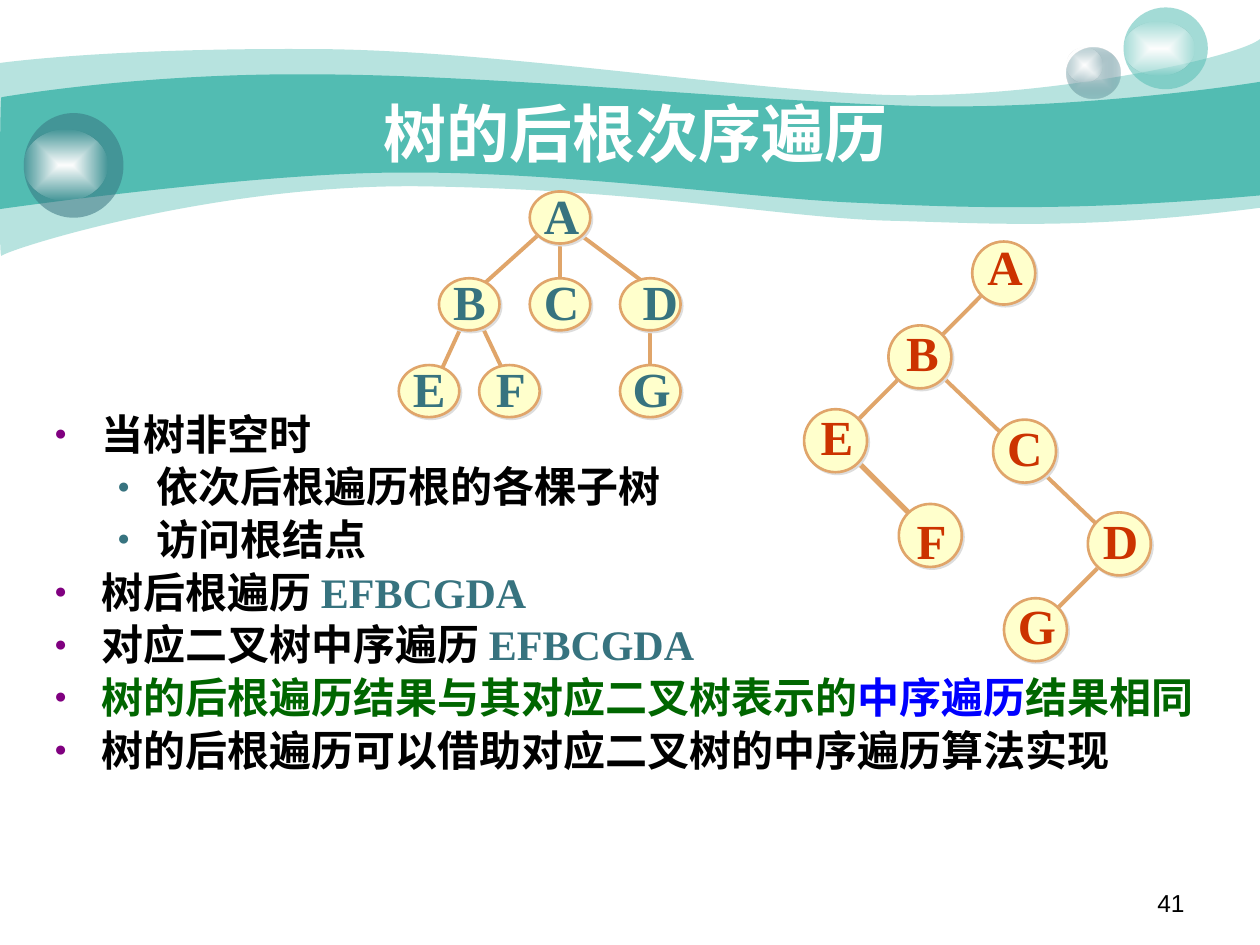
"""Build the slide on post-order traversal of a tree."""
from dataclasses import dataclass, field
from typing import Any

from lxml import etree
from pptx import Presentation, util as u
from pptx.dml import color
from pptx.enum import shapes, text
from pptx.oxml import ns, parse_xml

Cm, Pt = u.Cm, u.Pt
TEAL, SLATE, WHITE, BLACK = "52BCB2", "37737F", "FFFFFF", "000000"
GREEN, BLUE, RED = "006600", "0000FF", "CC3300"
GLOW = [(0, WHITE, 100), (100, WHITE, 0)]
LABEL_WIDTHS = dict(A=1.22, B=1.17, C=1.22, D=1.22, E=1.17, F=1.12, G=1.27)


def rgb(value):
    return color.RGBColor.from_string(value)


def apply(target, values):
    for name, value in values.items():
        setattr(target, name, value)


@dataclass
class Board:
    """Hold the style and the current slide."""
    slide: Any
    node_fill: str = "FFFFCC"
    edge: str = "E0A56A"
    shadow: str = "DDDDDD"
    cjk: str = "Noto Sans CJK SC"
    label: dict = field(default_factory=lambda: dict(
        name="Times New Roman", size=Pt(28), bold=True))

    def element(self, parent, tag, **attributes):
        return etree.SubElement(parent, ns.qn(tag), attributes)

    def fill(self, shape, value, alpha=100):
        shape.shadow.inherit = False
        shape.line.fill.background()
        shape.fill.solid()
        shape.fill.fore_color.rgb = rgb(value)
        if alpha < 100:
            tint = shape._element.spPr.find(".//" + ns.qn("a:srgbClr"))
            self.element(tint, "a:alpha", val=str(alpha * 1000))

    def gradient(self, shape, stops):
        self.fill(shape, WHITE)
        marks = "".join(
            f'<a:gs pos="{position * 1000}"><a:srgbClr val="{value}">'
            f'<a:alpha val="{alpha * 1000}"/></a:srgbClr></a:gs>'
            for position, value, alpha in stops)
        properties = shape._element.spPr
        properties.replace(properties.find(ns.qn("a:solidFill")), parse_xml(
            f'<a:gradFill {ns.nsdecls("a")} rotWithShape="1"><a:gsLst>{marks}</a:gsLst>'
            '<a:path path="rect"><a:fillToRect l="50000" t="50000" r="50000" b="50000"/>'
            '</a:path></a:gradFill>'))

    def wave(self, upper, lower, alpha=100):
        points = [(Cm(x), Cm(y)) for x, y in upper + lower]
        builder = self.slide.shapes.build_freeform(*points[0])
        builder.add_line_segments(points[1:], close=True)
        shape = builder.convert_to_shape()
        lines = list(shape._element.spPr.iter(ns.qn("a:lnTo")))
        straight = len(upper) - 1
        curved = lines[:straight] + lines[straight + 1:]
        for start in range(0, len(curved), 3):
            bezier = etree.Element(ns.qn("a:cubicBezTo"))
            curved[start].addprevious(bezier)
            for segment in curved[start:start + 3]:
                bezier.append(segment[0])
                segment.getparent().remove(segment)
        self.fill(shape, TEAL, alpha)

    def ellipse(self, box):
        return self.slide.shapes.add_shape(shapes.MSO_SHAPE.OVAL, *map(Cm, box))

    def run(self, paragraph, content, value, values):
        run = paragraph.add_run()
        run.text = content
        apply(run.font, values)
        run.font.color.rgb = rgb(value)
        self.element(run._r.get_or_add_rPr(), "a:ea", typeface=self.cjk)

    def textbox(self, box, content, value, values, align, wrap, anchor):
        shape = self.slide.shapes.add_textbox(*map(Cm, box))
        apply(shape.text_frame, dict(word_wrap=wrap, vertical_anchor=anchor))
        paragraph = shape.text_frame.paragraphs[0]
        paragraph.alignment = align
        self.run(paragraph, content, value, values)

    def line(self, ends, width=2.25):
        connector = self.slide.shapes.add_connector(
            shapes.MSO_CONNECTOR.STRAIGHT, *map(Cm, ends))
        connector.line.color.rgb = rgb(self.edge)
        connector.line.width = Pt(width)
        self.element(connector._element.spPr, "a:effectLst")

    def tree(self, size, nodes, value):
        for left, top, _, _ in nodes.values():
            shape = self.ellipse((left, top, *size))
            self.fill(shape, self.node_fill)
            shape.line.color.rgb = rgb(self.edge)
            shape.line.width = Pt(1.5)
            effects = shape._element.spPr.find(ns.qn("a:effectLst"))
            cast = self.element(effects, "a:outerShdw", dist=str(Pt(1.4)), dir="2700000",
                                algn="ctr", rotWithShape="0")
            self.element(cast, "a:srgbClr", val=self.shadow)
        for letter, (left, top, right_shift, down_shift) in nodes.items():
            box = (left + right_shift, top + down_shift, LABEL_WIDTHS[letter], 1.45)
            self.textbox(box, letter, value, self.label,
                         text.PP_ALIGN.CENTER, False, text.MSO_ANCHOR.MIDDLE)

    def placeholder(self, index, box, anchor):
        shape = self.slide.placeholders[index]
        apply(shape, dict(zip(("left", "top", "width", "height"), map(Cm, box))))
        apply(shape.text_frame, dict(word_wrap=True, vertical_anchor=anchor,
                                     auto_size=text.MSO_AUTO_SIZE.NONE))
        self.slide.shapes._spTree.append(shape._element)
        return shape.text_frame

    def title(self, box, content):
        paragraph = self.placeholder(0, box, text.MSO_ANCHOR.MIDDLE).paragraphs[0]
        paragraph.alignment = text.PP_ALIGN.CENTER
        self.run(paragraph, content, WHITE, dict(name=self.cjk, size=Pt(36), bold=True))

    def bullets(self, box, items):
        frame = self.placeholder(1, box, text.MSO_ANCHOR.TOP)
        frame.margin_top = Cm(0.13)
        levels = [(0.95, -0.95, "800080"), (2.06, -0.79, SLATE)]
        for number, (level, runs) in enumerate(items):
            paragraph = frame.add_paragraph() if number else frame.paragraphs[0]
            apply(paragraph, dict(level=level, line_spacing=Pt(30.1),
                                  space_before=Pt(0), space_after=Pt(0)))
            margin, indent, value = levels[level]
            properties = paragraph._p.get_or_add_pPr()
            properties.set("marL", str(Cm(margin)))
            properties.set("indent", str(Cm(indent)))
            self.element(self.element(properties, "a:buClr"), "a:srgbClr", val=value)
            self.element(properties, "a:buSzPct", val="50000")
            self.element(properties, "a:buFont", typeface="Arial")
            self.element(properties, "a:buChar", char="●")
            for content, tint in runs:
                name = "Times New Roman" if tint == SLATE else "Arial"
                self.run(paragraph, content, tint, dict(name=name, size=Pt(24), bold=True))


def main():
    presentation = Presentation()
    apply(presentation, dict(slide_width=Cm(25.4), slide_height=Cm(19.05)))
    board = Board(presentation.slides.add_slide(presentation.slide_layouts[1]))

    board.wave([(0, 1.27), (0.61, 1.19), (2.72, 0.97), (6.27, 0.99), (9.8, 0.99),
                (14.61, 1.78), (17.75, 1.91), (20.88, 2.03), (24.89, 1.19), (25.4, 0.79)],
               [(25.4, 4.19), (21.79, 4.65), (19.99, 4.5), (17.91, 4.45), (15.8, 4.39),
                (13.08, 3.84), (8.71, 3.76), (4.37, 3.66), (0.1, 5.05), (0.03, 5.16),
                (-0.03, 5.28), (0, 1.91), (0, 1.27)], 41)
    board.wave([(0.03, 1.96), (0.05, 1.96), (2.79, 1.47), (6.3, 1.5), (9.8, 1.5),
                (15.11, 2.03), (18.24, 2.13), (21.36, 2.24), (24.79, 1.75), (25.4, 1.65)],
               [(25.4, 3.94), (21.67, 4.27), (19.43, 4.19), (17.32, 4.09), (15.21, 4.01),
                (11.35, 3.45), (8.05, 3.48), (5.16, 3.48), (-0.05, 4.22), (-0.03, 4.22),
                (0, 4.22), (0, 1.96), (0.03, 1.96)])
    board.gradient(board.ellipse((21.51, 0.97, 1.07, 1.02)),
                   [(0, "CCDBDE", 100), (100, SLATE, 31)])
    board.gradient(board.ellipse((21.51, 0.97, 0.71, 0.69)), GLOW)
    for ball, value, shine in [
            ((22.65, 0.15, 1.7, 1.65), TEAL, (22.65, 0.43, 1.42, 1.09)),
            ((0.48, 2.28, 2.01, 2.11), SLATE, (0.48, 2.62, 1.68, 1.42))]:
        board.fill(board.ellipse(ball), value, 53)
        board.gradient(board.ellipse(shine), GLOW)

    board.textbox((18.21, 17.78, 5.92, 0.89), "41", BLACK, dict(name="Arial", size=Pt(14)),
                  text.PP_ALIGN.RIGHT, True, text.MSO_ANCHOR.TOP)

    board.line((17.07, 9.09, 18.34, 10.36), 3)
    for ends in [(22.35, 11.23, 21.08, 12.5), (20.02, 5.72, 17.07, 8.69),
                 (18.97, 7.57, 22.35, 10.8)]:
        board.line(ends)
    board.tree((1.27, 1.27), dict(
        A=(19.6, 4.87, 0.05, -0.23), B=(17.91, 6.56, 0.1, -0.18),
        C=(20.02, 8.46, 0.03, -0.18), D=(21.93, 10.33, 0.05, -0.18),
        E=(16.21, 8.25, 0.08, -0.18), F=(18.12, 10.16, 0.1, 0),
        G=(20.24, 12.06, 0.03, -0.18)), RED)

    board.title((2.55, 2.16, 20.52, 1.02), "树的后根次序遍历")
    board.bullets((0.84, 8.05, 23.9, 9.53), [
        (0, [("当树非空时", BLACK)]),
        (1, [("依次后根遍历根的各棵子树", BLACK)]),
        (1, [("访问根结点", BLACK)]),
        (0, [("树后根遍历 ", BLACK), ("EFBCGDA", SLATE)]),
        (0, [("对应二叉树中序遍历 ", BLACK), ("EFBCGDA", SLATE)]),
        (0, [("树的后根遍历结果与其对应二叉树表示的", GREEN), ("中序遍历", BLUE),
             ("结果相同", GREEN)]),
        (0, [("树的后根遍历可以借助对应二叉树的中序遍历算法实现", BLACK)])])

    for ends in [(13.11, 6.5, 13.11, 7.54), (9.68, 6.5, 10.26, 7.72),
                 (9.27, 6.65, 8.86, 7.54), (11.68, 4.72, 13.11, 5.79),
                 (11.28, 4.9, 11.28, 5.79), (10.87, 4.72, 9.68, 5.79)]:
        board.line(ends)
    board.tree((1.22, 1.05), dict(
        A=(10.68, 3.86, 0.03, -0.25), B=(8.85, 5.61, 0.03, -0.26),
        C=(10.68, 5.61, 0.03, -0.26), D=(12.5, 5.61, 0.2, -0.26),
        E=(8.04, 7.36, 0.03, -0.26), F=(9.66, 7.36, 0.08, -0.26),
        G=(12.5, 7.36, 0, -0.26)), SLATE)
    presentation.save("out.pptx")


if __name__ == "__main__":
    main()
